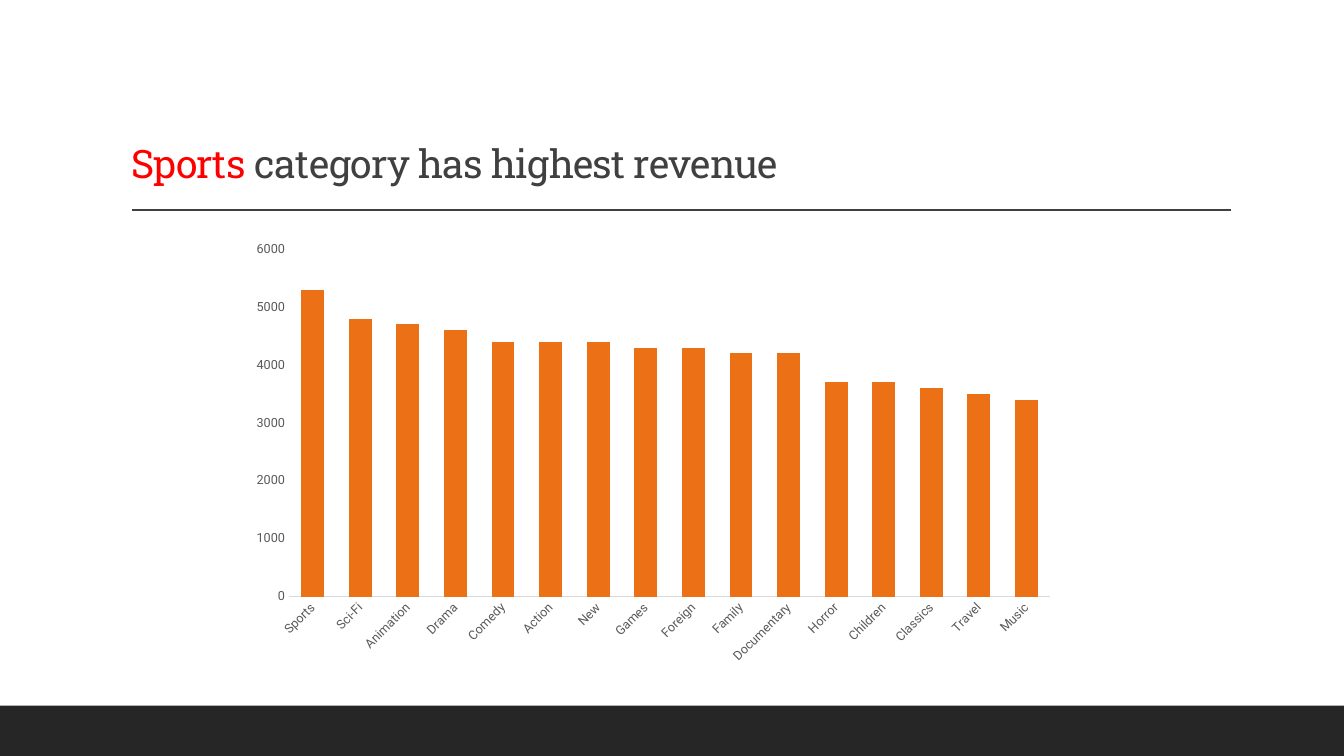
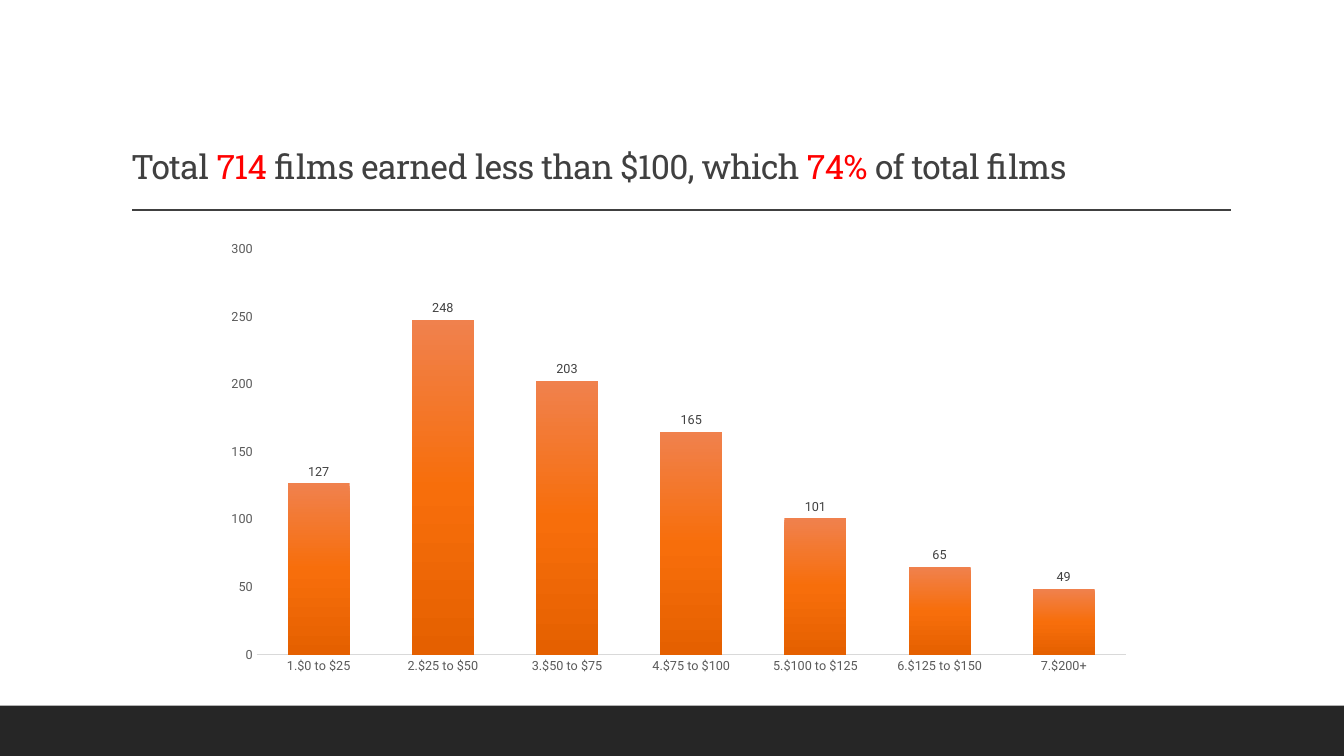
import copy

import pptx
import pptx.chart.data
import pptx.dml.color
import pptx.enum.chart
import pptx.enum.dml
import pptx.enum.shapes
import pptx.enum.text
import pptx.oxml
import pptx.oxml.ns
import pptx.util

Pt = pptx.util.Pt
qn = pptx.oxml.ns.qn
RGB = pptx.dml.color.RGBColor

INK = RGB(0x40, 0x40, 0x40)
HIGHLIGHT = RGB(0xFF, 0x00, 0x00)
BAND = RGB(0x26, 0x26, 0x26)
AXIS_TEXT = RGB(0x59, 0x59, 0x59)
AXIS_LINE = RGB(0xD9, 0xD9, 0xD9)
BLACK = RGB(0x00, 0x00, 0x00)
ORANGE = RGB(0xEC, 0x70, 0x16)
ORANGE_FADE = [
    (0, RGB(0xF0, 0x81, 0x4D)),
    (0.5, RGB(0xF7, 0x6E, 0x0B)),
    (1, RGB(0xE5, 0x60, 0x00)),
]
TITLE_FONT = "Roboto Slab"
CHART_FONT = "Roboto"

WIDTH, HEIGHT, BAND_HEIGHT = 960, 540, 36
TITLE_BOX = (86.4, 22.5, 792, 114.5)
RULE_LEFT, RULE_RIGHT, RULE_TOP = 94.5, 879, 150

SLIDES = [
    {
        "title": [("Sports", HIGHLIGHT), (" category has highest revenue", INK)],
        "title_size": 28,
        "box": (171.5, 166.5, 590.5, 314),
        "values": [
            ("Sports", 5300), ("Sci-Fi", 4800), ("Animation", 4700),
            ("Drama", 4600), ("Comedy", 4400), ("Action", 4400),
            ("New", 4400), ("Games", 4300), ("Foreign", 4300),
            ("Family", 4200), ("Documentary", 4200), ("Horror", 3700),
            ("Children", 3700), ("Classics", 3600), ("Travel", 3500),
            ("Music", 3400),
        ],
        "top": 6000, "step": 1000, "gap": 109, "overlap": -27,
        "axis_width": 0.75, "label_angle": -45, "fade": False, "labels": False,
    },
    {
        "title": [
            ("Total ", INK), ("714", HIGHLIGHT),
            (" films earned less than $100, which ", INK),
            ("74%", HIGHLIGHT), (" of total films", INK),
        ],
        "title_size": 24,
        "box": (152, 166.5, 665.5, 321),
        "values": [
            ("1.$0 to $25", 127), ("2.$25 to $50", 248), ("3.$50 to $75", 203),
            ("4.$75 to $100", 165), ("5.$100 to $125", 101),
            ("6.$125 to $150", 65), ("7.$200+", 49),
        ],
        "top": 300, "step": 50, "gap": 100, "overlap": -24,
        "axis_width": 1, "label_angle": 0, "fade": True, "labels": True,
    },
]


def points(box):
    return [Pt(length) for length in box]


def style_font(font, name, size, color):
    font.name = name
    font.size = Pt(size)
    font.color.rgb = color


def furnish_layout(layout, slide):
    band = slide.shapes.add_shape(
        pptx.enum.shapes.MSO_SHAPE.RECTANGLE,
        *points((0, HEIGHT - BAND_HEIGHT, WIDTH, BAND_HEIGHT)))
    band.shadow.inherit = False
    band.fill.solid()
    band.fill.fore_color.rgb = BAND
    band.line.fill.background()

    rule = slide.shapes.add_connector(
        pptx.enum.shapes.MSO_CONNECTOR.STRAIGHT,
        *points((RULE_LEFT, RULE_TOP, RULE_RIGHT, RULE_TOP)))
    rule.line.color.rgb = INK
    rule.line.width = Pt(1)
    rule._element.spPr.append(pptx.oxml.parse_xml(
        '<a:effectLst xmlns:a="http://schemas.openxmlformats.org/drawingml/2006/main"/>'))

    for part in (band, rule):
        layout.shapes._spTree.append(part._element)

    title = layout.placeholders[0]
    title.left, title.top, title.width, title.height = points(TITLE_BOX)


def write_title(title, pieces, size):
    frame = title.text_frame
    frame.word_wrap = True
    frame.auto_size = pptx.enum.text.MSO_AUTO_SIZE.NONE
    frame.vertical_anchor = pptx.enum.text.MSO_ANCHOR.BOTTOM
    paragraph = frame.paragraphs[0]
    paragraph.alignment = pptx.enum.text.PP_ALIGN.LEFT
    paragraph.line_spacing = 0.9
    for text, color in pieces:
        run = paragraph.add_run()
        run.text = text
        style_font(run.font, TITLE_FONT, size, color)
        run._r.get_or_add_rPr().set("spc", "-50")


def style_axis(axis):
    axis.has_major_gridlines = False
    axis.major_tick_mark = pptx.enum.chart.XL_TICK_MARK.NONE
    axis.minor_tick_mark = pptx.enum.chart.XL_TICK_MARK.NONE
    style_font(axis.tick_labels.font, CHART_FONT, 9, AXIS_TEXT)


def paint_fade(series):
    fill = series.format.fill
    fill.gradient()
    fill.gradient_angle = 270
    stops = series._element.find(".//" + qn("a:gsLst"))
    stops.append(copy.deepcopy(stops[0]))
    for stop, (position, color) in zip(fill.gradient_stops, ORANGE_FADE):
        stop.position = position
        stop.color.rgb = color


def add_columns(slide, content):
    data = pptx.chart.data.CategoryChartData()
    names, values = zip(*content["values"])
    data.categories = names
    data.add_series("Series 1", values)
    chart = slide.shapes.add_chart(
        pptx.enum.chart.XL_CHART_TYPE.COLUMN_CLUSTERED,
        *points(content["box"]), data).chart
    chart.has_title = False
    chart.has_legend = False
    style_font(chart.font, CHART_FONT, 10, BLACK)

    categories = chart.category_axis
    style_axis(categories)
    categories.format.line.color.rgb = AXIS_LINE
    categories.format.line.width = Pt(content["axis_width"])
    label_body = categories._element.find(qn("c:txPr")).find(qn("a:bodyPr"))
    label_body.set("rot", str(content["label_angle"] * 60000))
    label_body.set("vert", "horz")

    amounts = chart.value_axis
    style_axis(amounts)
    amounts.format.line.fill.background()
    amounts.minimum_scale = 0
    amounts.maximum_scale = content["top"]
    amounts.major_unit = content["step"]

    plot = chart.plots[0]
    plot.vary_by_categories = False
    plot.gap_width = content["gap"]
    plot.overlap = content["overlap"]
    columns = plot.series[0]
    columns.invert_if_negative = False
    if content["fade"]:
        paint_fade(columns)
    else:
        columns.format.fill.solid()
        columns.format.fill.fore_color.rgb = ORANGE
    if content["labels"]:
        labels = columns.data_labels
        labels.show_value = True
        labels.position = pptx.enum.chart.XL_LABEL_POSITION.OUTSIDE_END
        style_font(labels.font, CHART_FONT, 9, INK)


def main():
    deck = pptx.Presentation()
    deck.slide_width, deck.slide_height = Pt(WIDTH), Pt(HEIGHT)
    layout = deck.slide_layouts.get_by_name("Title Only")
    for number, content in enumerate(SLIDES):
        slide = deck.slides.add_slide(layout)
        if number == 0:
            furnish_layout(layout, slide)
        write_title(slide.shapes.title, content["title"], content["title_size"])
        add_columns(slide, content)
    deck.save("out.pptx")


if __name__ == "__main__":
    main()
